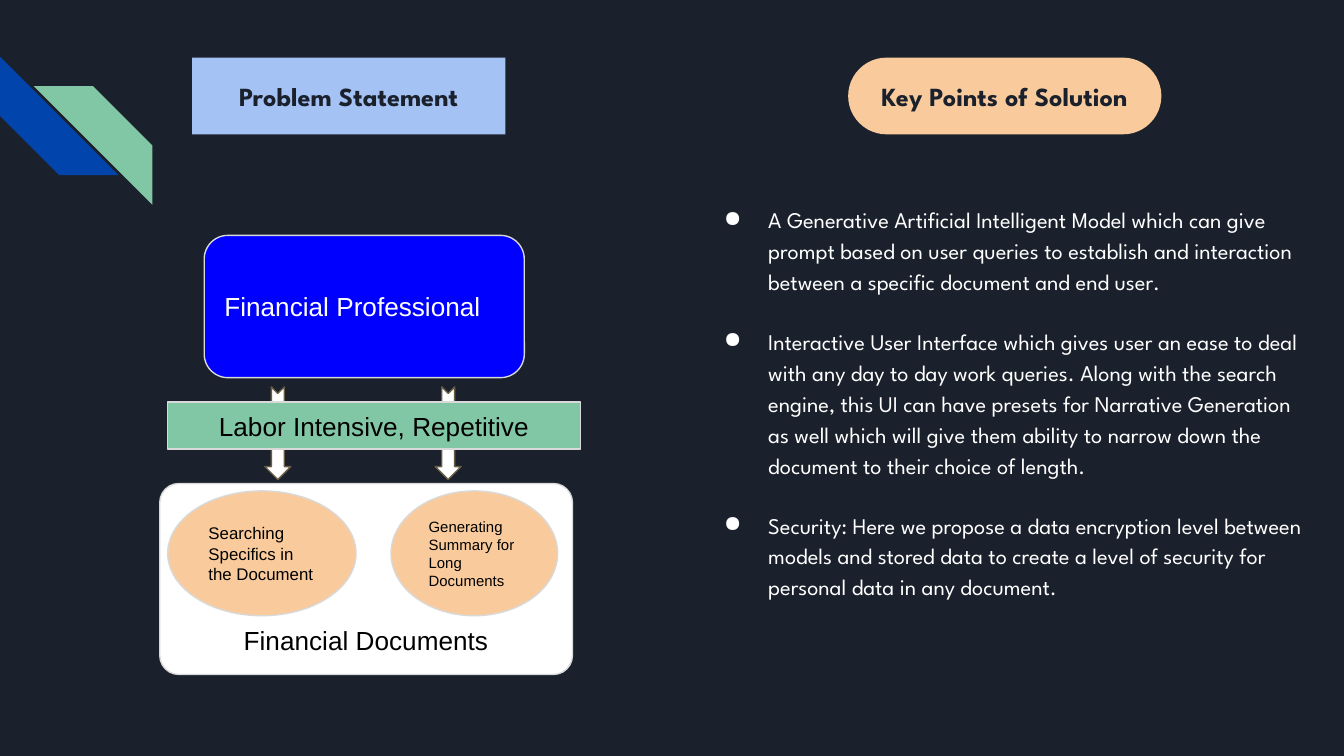
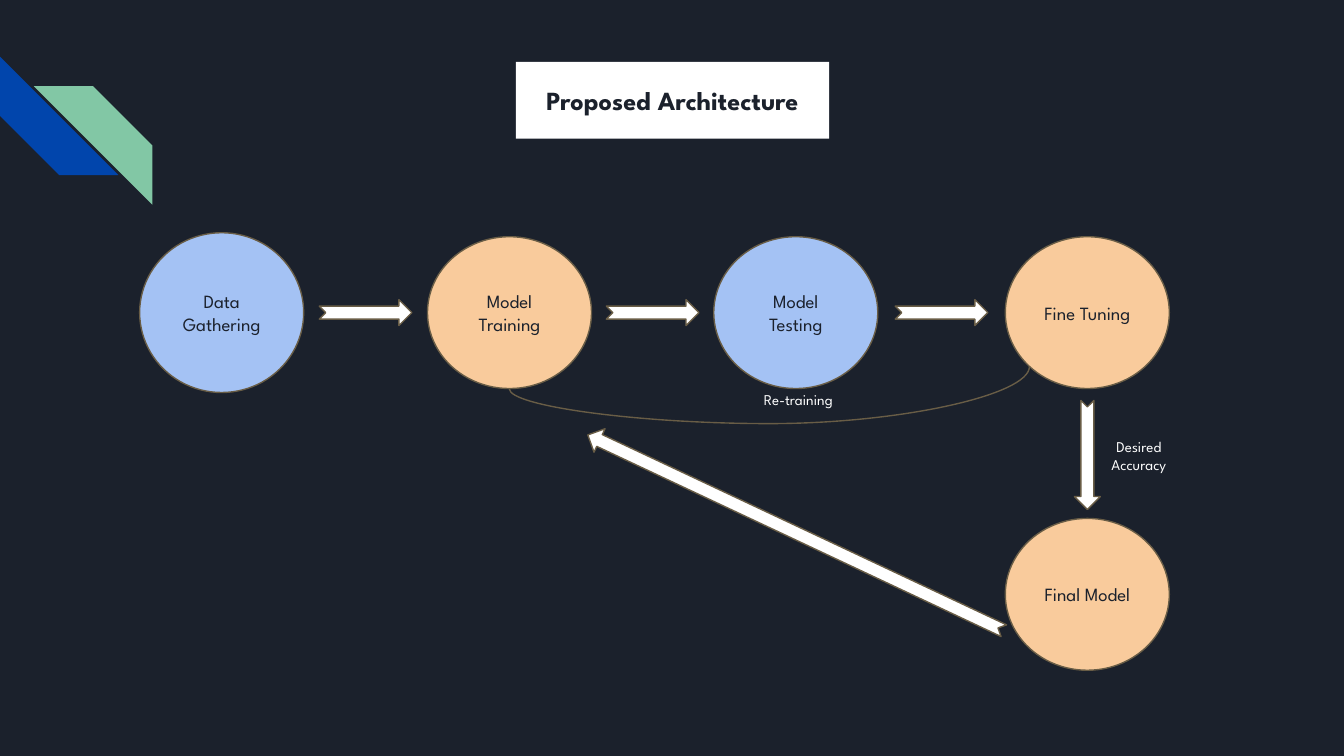
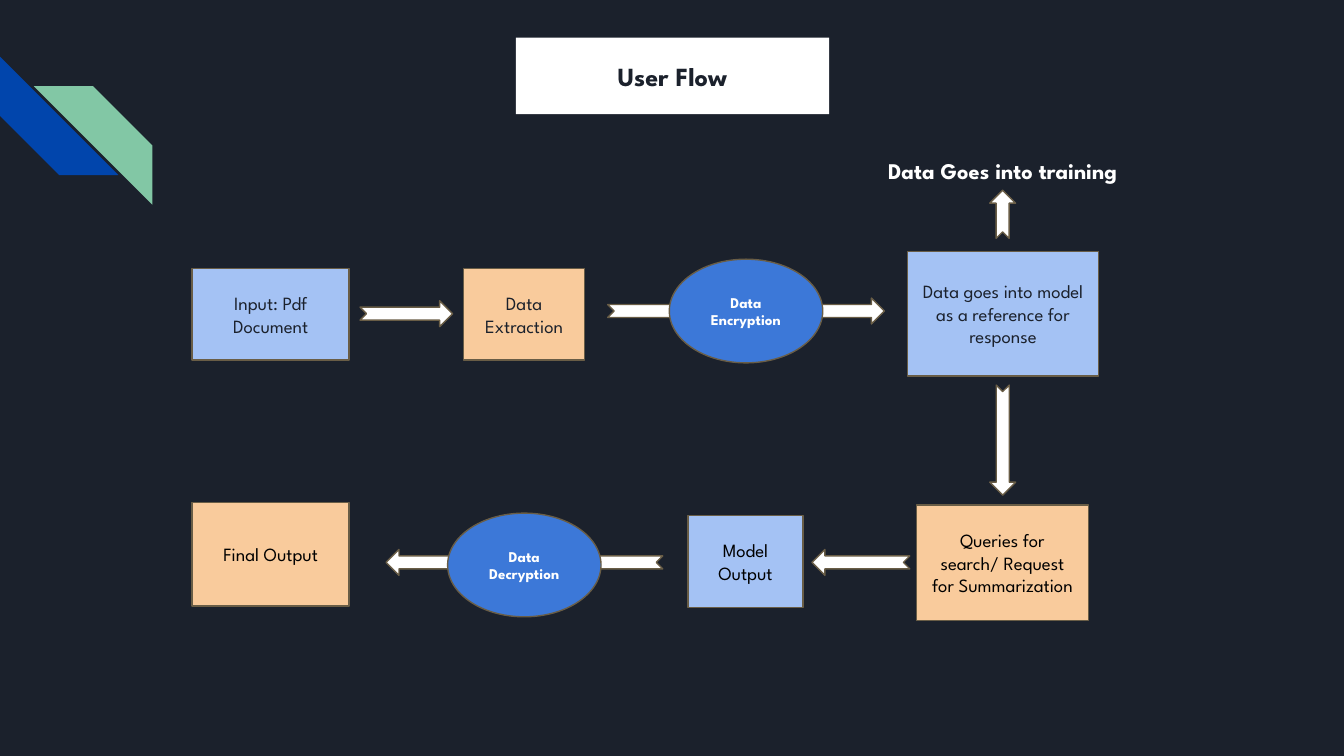
import pptx
import pptx.dml.color
import pptx.enum.shapes
import pptx.enum.text
import pptx.oxml
import pptx.oxml.ns
import pptx.util
import lxml.etree

Cm, Pt = pptx.util.Cm, pptx.util.Pt
FORM = pptx.enum.shapes.MSO_SHAPE
ALIGN = pptx.enum.text.PP_ALIGN
ANCHOR = pptx.enum.text.MSO_ANCHOR
qn = pptx.oxml.ns.qn

HUES = {
    "night": "1B212C", "royal": "0145AC", "mint": "82C7A5", "sky": "A4C2F4",
    "peach": "F9CB9C", "white": "FFFFFF", "black": "000000", "blue": "0000FF",
    "azure": "3C78D8", "brown": "695D46", "grey": "D9D9D9",
}
FACE = "League Spartan"
PLAIN = "Arial"

POINTS = [
    "A Generative Artificial Intelligent Model which can give prompt based on "
    "user queries to establish and interaction between a specific document and end user.",
    "Interactive User Interface which gives user an ease to deal with any day to day "
    "work queries. Along with the search engine, this UI can have presets for Narrative "
    "Generation as well which will give them ability to narrow down the document to "
    "their choice of length.",
    "Security: Here we propose a data encryption level between models and stored data "
    "to create a level of security for personal data in any document.",
]


def hue(name):
    """Return the named colour."""
    return pptx.dml.color.RGBColor.from_string(HUES[name])


def style(para, size, ink, face=FACE, bold=False, align=ALIGN.CENTER):
    """Format one paragraph."""
    para.alignment = align
    font = para.font
    font.size, font.name, font.bold = Pt(size), face, bold
    font.color.rgb = hue(ink)


def write(shape, text, size, ink, pad=(0.25, 0.25), anchor=ANCHOR.MIDDLE, **look):
    """Put wrapped text into a shape."""
    frame = shape.text_frame
    frame.text = text
    frame.word_wrap = True
    frame.auto_size = pptx.enum.text.MSO_AUTO_SIZE.NONE
    frame.vertical_anchor = anchor
    frame.margin_left = frame.margin_right = Cm(pad[0])
    frame.margin_top = frame.margin_bottom = Cm(pad[1])
    style(frame.paragraphs[0], size, ink, **look)


def block(slide, form, box, fill, edge=None):
    """Add a filled shape, outlined if an edge is named."""
    shape = slide.shapes.add_shape(form, *map(Cm, box))
    shape.shadow.inherit = False
    shape.fill.solid()
    shape.fill.fore_color.rgb = hue(fill)
    if edge:
        shape.line.color.rgb = hue(edge)
        shape.line.width = Pt(0.75)
    else:
        shape.line.fill.background()
    return shape


def node(slide, form, box, fill, text, size=10, ink="night", edge="brown", **look):
    """Add an outlined shape with a label."""
    shape = block(slide, form, box, fill, edge)
    write(shape, text, size, ink, **look)
    return shape


def arrow(slide, x, y, span, turn=0):
    """Add a notched arrow centred on a point."""
    high = 0.49
    box = (x - span / 2, y - high / 2, span, high)
    shape = block(slide, FORM.NOTCHED_RIGHT_ARROW, box, "white", "brown")
    shape.rotation = turn


def note(slide, box, text, size, bold=False):
    """Add a white caption."""
    shape = slide.shapes.add_textbox(*map(Cm, box))
    write(shape, text, size, "white", anchor=ANCHOR.TOP, bold=bold)


def badge(shape, text):
    """Write the heading of a pill."""
    write(shape, text, 14, "night", pad=(0.18, 0.1), bold=True)


def pill(slide, x, y, text, fill="white"):
    """Turn the title placeholder into a pill."""
    shape = slide.shapes.title
    shape.left, shape.top, shape.width, shape.height = map(Cm, (x, y, 5.92, 1.45))
    geom = lxml.etree.SubElement(shape.element.spPr, qn("a:prstGeom"), prst="roundRect")
    guides = lxml.etree.SubElement(geom, qn("a:avLst"))
    lxml.etree.SubElement(guides, qn("a:gd"), name="adj", fmla="val 50000")
    shape.fill.solid()
    shape.fill.fore_color.rgb = hue(fill)
    badge(shape, text)


def brand(deck, slide):
    """Give the master its ground and corner stripes."""
    master = deck.slide_master
    master.background.fill.solid()
    master.background.fill.fore_color.rgb = hue("night")
    left = block(slide, FORM.DIAGONAL_STRIPE, (0, 1.07, 2.24, 2.24), "royal")
    left.rotation = 270
    right = block(slide, FORM.DIAGONAL_STRIPE, (0.64, 1.63, 2.24, 2.24), "mint")
    right.element.spPr.find(qn("a:xfrm")).set("flipH", "1")
    for stripe in (left, right):
        master.shapes.element.append(stripe.element)


def issue(slide, x, y):
    """Draw the problem diagram."""
    look = {"edge": "grey", "face": PLAIN}
    node(slide, FORM.ROUNDED_RECTANGLE, (x + 0.84, y, 6.05, 2.69), "blue",
         "Financial Professional", 14, "white", align=ALIGN.LEFT, **look)
    for dx in (2.23, 5.45):
        arrow(slide, x + dx, y + 3.74, 1.75, 90)
    docs = node(slide, FORM.ROUNDED_RECTANGLE, (x, y + 4.69, 7.8, 3.61), "white",
                "Financial Documents", 14, "black", anchor=ANCHOR.BOTTOM, **look)
    docs.adjustments[0] = 0.1
    tasks = [
        (0.15, 3.56, "Searching Specifics in the Document", 9),
        (4.37, 3.15, "Generating Summary for Long Documents", 8),
    ]
    for dx, wide, text, size in tasks:
        node(slide, FORM.OVAL, (x + dx, y + 4.83, wide, 2.36), "peach",
             text, size, "black", align=ALIGN.LEFT, **look)
    node(slide, FORM.RECTANGLE, (x + 0.15, y + 3.15, 7.8, 0.89), "mint",
         "Labor Intensive, Repetitive", 14, "black", **look)


def bullets(slide, box):
    """List the key points."""
    shape = slide.shapes.add_textbox(*map(Cm, box))
    write(shape, "\n".join(POINTS), 12, "white", anchor=ANCHOR.TOP)
    for para in shape.text_frame.paragraphs:
        style(para, 12, "white", align=ALIGN.LEFT)
        para.line_spacing = 1.15
        para.space_after = Pt(15.5)
        props = para._p.get_or_add_pPr()
        props.set("marL", str(Cm(1.27)))
        props.set("indent", str(Cm(-0.84)))
        mark = lxml.etree.Element(qn("a:buChar"), char="●")
        props.find(qn("a:defRPr")).addprevious(mark)


def loop(slide, x, y):
    """Draw the retraining curve around its centre."""
    wide, high = 0.42, 9.83
    line = slide.shapes.add_connector(
        pptx.enum.shapes.MSO_CONNECTOR.CURVE, Cm(x - wide / 2), Cm(y - high / 2),
        Cm(x + wide / 2), Cm(y + high / 2))
    line.rotation = 90
    line.line.color.rgb = hue("brown")
    line.line.width = Pt(0.75)
    props = line.element.spPr
    lxml.etree.SubElement(props, qn("a:effectLst"))
    guides = props.find(qn("a:prstGeom")).find(qn("a:avLst"))
    lxml.etree.SubElement(guides, qn("a:gd"), name="adj1", fmla="val 256800")


def stages(slide, x, y):
    """Draw the model pipeline."""
    wide, high, mid = 3.1, 2.87, 1.52
    steps = [
        (0, 3.02, "sky", "Data Gathering"),
        (5.44, high, "peach", "Model Training"),
        (10.85, high, "sky", "Model Testing"),
        (16.36, high, "peach", "Fine Tuning"),
    ]
    for dx, tall, fill, text in steps:
        node(slide, FORM.OVAL, (x + dx, y + mid - tall / 2, wide, tall), fill, text)
    for here, then in zip(steps, steps[1:]):
        arrow(slide, x + (here[0] + wide + then[0]) / 2, y + mid, 1.75)
    last = x + steps[-1][0]
    node(slide, FORM.OVAL, (last, y + 5.41, wide, high), "peach", "Final Model")
    arrow(slide, last + wide / 2, y + 4.21, 2.06, 90)
    note(slide, (x + 17.73, y + 3.64, 2.31, 1.19), "Desired Accuracy", 8)
    loop(slide, x + 11.9, y + 2.75)
    note(slide, (x + 11.18, y + 2.75, 2.54, 0.86), "Re-training", 8)
    arrow(slide, x + 12.4, y + 5.68, 8.69, 205.2)


def flow(slide, x, y):
    """Draw the path from input to output."""
    arrows = [
        (4.05, 1.18, 1.75, 0), (10.47, 1.13, 5.23, 0), (15.32, 3.57, 2.08, 90),
        (12.64, 5.88, 1.85, 180), (6.28, 5.88, 5.23, 180), (15.32, -0.7, 0.91, 270),
    ]
    for dx, dy, span, turn in arrows:
        arrow(slide, x + dx, y + dy, span, turn)
    boxes = [
        (0, 0.33, 2.97, 1.73, "sky", "Input: Pdf Document", "night"),
        (5.13, 0.33, 2.29, 1.73, "peach", "Data Extraction", "night"),
        (13.52, 0, 3.61, 2.36, "sky",
         "Data goes into model as a reference for response", "night"),
        (13.69, 4.8, 3.25, 2.18, "peach",
         "Queries for search/ Request for Summarization", "black"),
        (9.37, 5, 2.18, 1.73, "sky", "Model Output", "black"),
        (0, 4.75, 2.97, 1.96, "peach", "Final Output", "black"),
    ]
    for dx, dy, wide, high, fill, text, ink in boxes:
        node(slide, FORM.RECTANGLE, (x + dx, y + dy, wide, high), fill, text, ink=ink)
    locks = [(9.02, 0.15, "Data Encryption"), (4.83, 4.95, "Data Decryption")]
    for dx, dy, text in locks:
        node(slide, FORM.FLOWCHART_CONNECTOR, (x + dx, y + dy, 2.9, 1.96), "azure",
             text, 8, "white", bold=True)
    note(slide, (x + 12.5, y - 2.03, 5.64, 1.02), "Data Goes into training", 12, True)


def main():
    """Build and save the deck."""
    deck = pptx.Presentation()
    deck.slide_width, deck.slide_height = Cm(25.4), Cm(14.29)
    goal, plan, path = [deck.slides.add_slide(deck.slide_layouts[5]) for _ in range(3)]
    brand(deck, goal)

    pill(goal, 3.63, 1.09, "Problem Statement", "sky")
    keys = block(goal, FORM.ROUNDED_RECTANGLE, (16.03, 1.09, 5.92, 1.45), "peach")
    keys.adjustments[0] = 0.5
    badge(keys, "Key Points of Solution")
    issue(goal, 3.02, 4.45)
    bullets(goal, (13, 3.58, 11.96, 9.5))

    pill(plan, 9.75, 1.17, "Proposed Architecture")
    stages(plan, 2.64, 4.39)

    pill(path, 9.75, 0.71, "User Flow")
    flow(path, 3.63, 4.75)
    deck.save("out.pptx")


if __name__ == "__main__":
    main()
